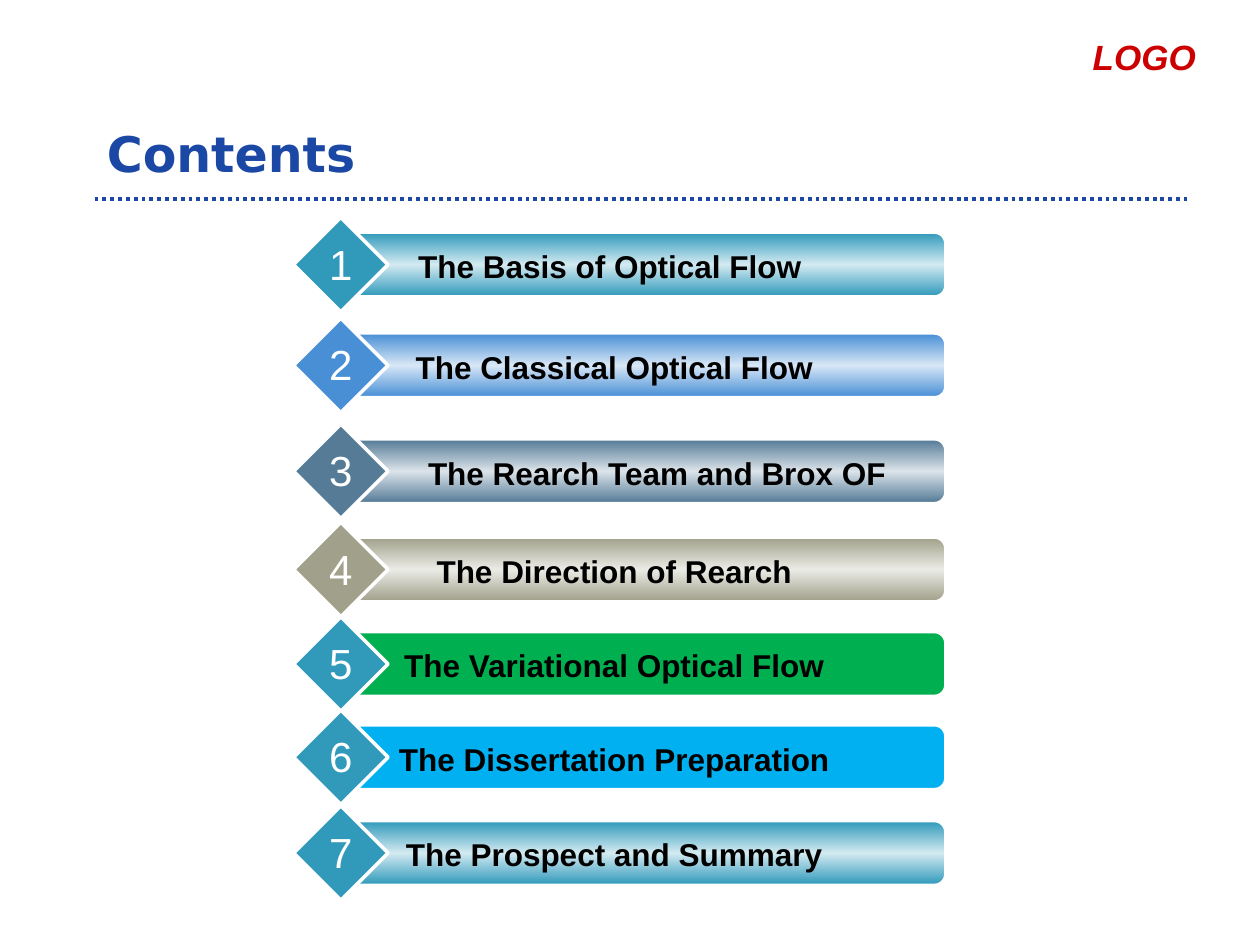
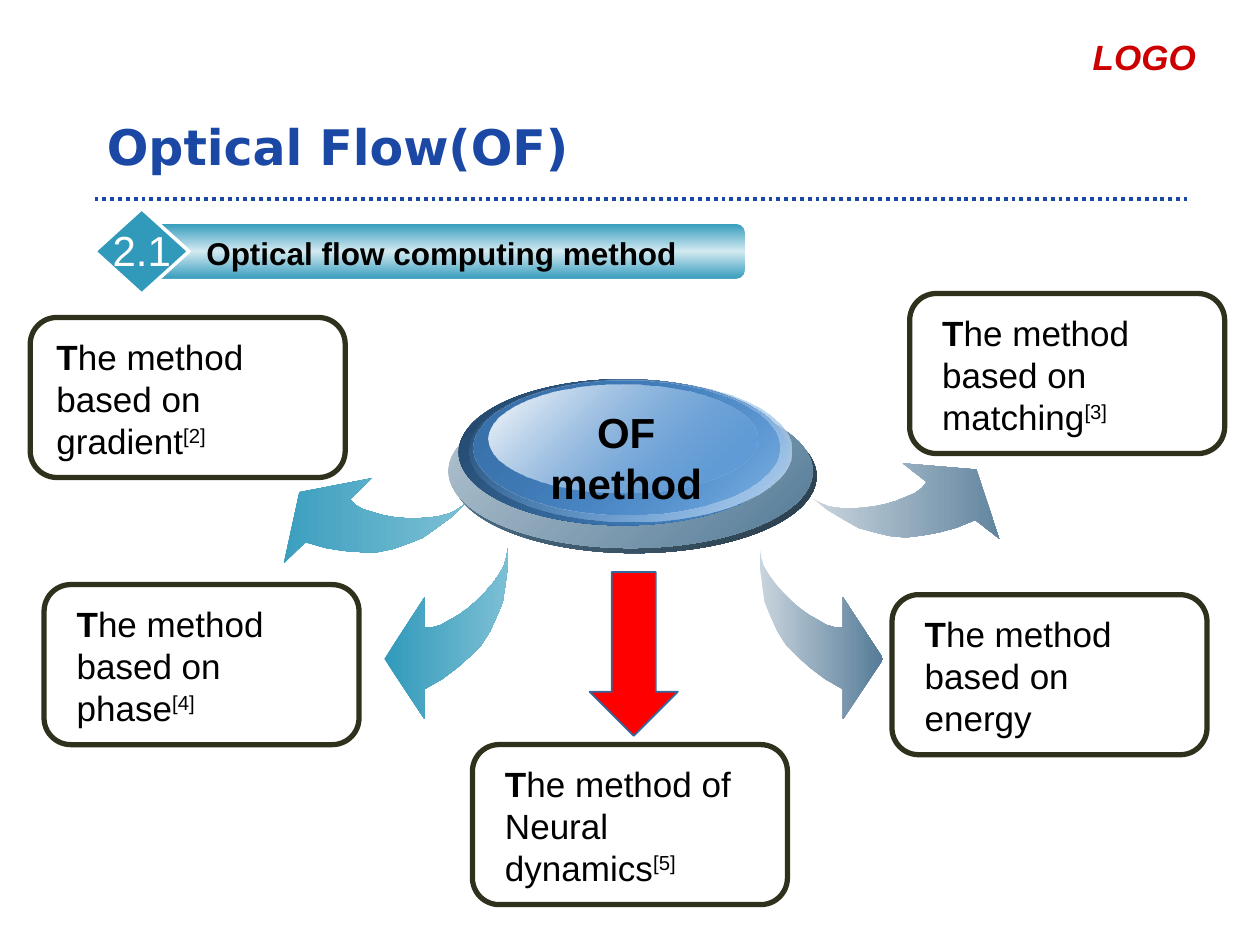
from lxml import etree
from pptx import Presentation, util as u
from pptx.dml.color import RGBColor
from pptx.enum import dml, shapes, text
from pptx.oxml.ns import qn

# Grid: 100 columns by 75 rows
W, H = u.Inches(10), u.Inches(7.5)
COL, ROW = W / 100, H / 75

WHITE = RGBColor(0xFF, 0xFF, 0xFF)
BLACK = RGBColor(0, 0, 0)
NAVY = RGBColor(0x1A, 0x48, 0xA4)
CRIMSON = RGBColor(0xCC, 0, 0)
RED = RGBColor(0xFF, 0, 0)
OLIVE = RGBColor(0x30, 0x31, 0x1D)
GREEN = RGBColor(0, 0xB0, 0x50)
SKY = RGBColor(0, 0xB0, 0xF0)
TEAL = RGBColor(0x31, 0x9A, 0xBB)
TEAL_MID = RGBColor(0x7C, 0xBF, 0xD4)
TEAL_PALE = RGBColor(0xD3, 0xEA, 0xF1)
BLUE = RGBColor(0x48, 0x8F, 0xD6)
BLUE_PALE = RGBColor(0xD8, 0xE7, 0xF6)
BLUE_LIGHT = RGBColor(0xBF, 0xD8, 0xF1)
BLUE_DEEP = RGBColor(0x21, 0x42, 0x63)
BLUE_DARK = RGBColor(0x39, 0x71, 0xAA)
BLUE_EDGE = RGBColor(0x32, 0x68, 0x9D)
SLATE = RGBColor(0x55, 0x7B, 0x97)
SLATE_PALE = RGBColor(0xDB, 0xE3, 0xE9)
SLATE_LIGHT = RGBColor(0xC9, 0xD5, 0xDE)
SLATE_MID = RGBColor(0xB4, 0xC5, 0xD1)
SLATE_DARK = RGBColor(0x29, 0x3C, 0x49)
STONE = RGBColor(0xA1, 0xA1, 0x8B)
STONE_PALE = RGBColor(0xEB, 0xEB, 0xE6)

BODY, HEAD = "Arial", "DejaVu Sans"
SHAPE = shapes.MSO_SHAPE
LEFT, CENTER, RIGHT = text.PP_ALIGN.LEFT, text.PP_ALIGN.CENTER, text.PP_ALIGN.RIGHT

# Curved arrow pointing left, relative to its box
ARROW_W, ARROW_H = 9.9, 13.6
ARROW = [(9.8, 0), (9.8, 1.5), (9.6, 3), (9.4, 4.3), (8.9, 5.5), (8.4, 6.6),
         (7.7, 7.7), (6.8, 8.6), (5.8, 9.5), (4.6, 10.4), (3.2, 11.2),
         (3.2, 13.6), (0, 8.8), (3.2, 3.9), (3.2, 6.3), (3.8, 6.3), (4.5, 6.1),
         (5.2, 5.7), (5.9, 5.3), (6.6, 4.8), (7.3, 4.2), (8, 3.5), (8.6, 2.8),
         (9.1, 2.1), (9.5, 1.4), (9.7, 0.7)]


def cells(x, y, w, h):
    return [u.Emu(round(v)) for v in (x * COL, y * ROW, w * COL, h * ROW)]


def paint_gradient(sp, stops, angle):
    """Fill with (position, colour, opacity) stops, angle clockwise."""
    sp.fill.gradient()
    sp.fill.gradient_angle = -angle % 360
    gs_list = sp._element.spPr.find(qn("a:gradFill")).find(qn("a:gsLst"))
    for gs in list(gs_list):
        gs_list.remove(gs)
    for pos, color, opacity in stops:
        gs = etree.SubElement(gs_list, qn("a:gs"), pos=str(pos * 1000))
        clr = etree.SubElement(gs, qn("a:srgbClr"), val=str(color))
        if opacity < 100:
            etree.SubElement(clr, qn("a:alpha"), val=str(opacity * 1000))


def add_shape(s, kind, box, fill=None, line=None, width=1):
    sp = s.shapes.add_shape(kind, *cells(*box))
    sp.shadow.inherit = False
    if fill is None:
        sp.fill.background()
    else:
        sp.fill.solid()
        sp.fill.fore_color.rgb = fill
    if line is None:
        sp.line.fill.background()
    else:
        sp.line.color.rgb = line
        sp.line.width = u.Pt(width)
    return sp


def add_run(p, words, size, color=BLACK, bold=False, italic=False, font=BODY):
    r = p.add_run()
    r.text = words
    r.font.name, r.font.size = font, u.Pt(size)
    r.font.bold, r.font.italic = bold, italic
    r.font.color.rgb = color
    return r


def add_frame(s, box, align=LEFT, anchor=text.MSO_ANCHOR.TOP):
    tf = s.shapes.add_textbox(*cells(*box)).text_frame
    tf.word_wrap = True
    tf.vertical_anchor = anchor
    tf.paragraphs[0].alignment = align
    return tf


def add_text(s, box, words, size, align=CENTER, **style):
    tf = add_frame(s, box, align, text.MSO_ANCHOR.MIDDLE)
    add_run(tf.paragraphs[0], words, size, **style)


def new_slide(prs, title, title_top):
    """Blank slide with dotted rule, title and corner mark."""
    s = prs.slides.add_slide(prs.slide_layouts[6])
    x1, y, x2, _ = cells(7.5, 15.8, 94.2, 0)
    rule = s.shapes.add_connector(shapes.MSO_CONNECTOR.STRAIGHT, x1, y, x2, y)
    rule.line.color.rgb = NAVY
    rule.line.width = u.Pt(2.25)
    rule.line.dash_style = dml.MSO_LINE.ROUND_DOT
    etree.SubElement(rule._element.spPr, qn("a:effectLst"))
    add_text(s, (7.5, title_top, 74.2, 5.8), title, 28, LEFT,
             color=NAVY, bold=True, font=HEAD)
    mark = add_frame(s, (64.2, 2.3, 31.7, 2.7), RIGHT)
    add_run(mark.paragraphs[0], "LOGO", 20, CRIMSON, bold=True, italic=True)
    return s


def add_item(s, x, middle, number, label, label_x, label_w, color,
             pale=None, bar_color=None, bar_h=5, diamond_h=7.5):
    """Numbered diamond with a labelled bar, centred on row `middle`."""
    bar = add_shape(s, SHAPE.ROUNDED_RECTANGLE,
                    (x + 4.2, middle - bar_h / 2, 47.5, bar_h), bar_color, WHITE)
    if pale is not None:
        paint_gradient(bar, [(0, color, 100), (50, pale, 100), (100, color, 100)], 90)
    add_shape(s, SHAPE.DIAMOND, (x, middle - diamond_h / 2, 7.5, diamond_h),
              color, WHITE, 2)
    add_text(s, (label_x, middle - 1.9, label_w, 4), label, 18, bold=True)
    add_text(s, (x + 0.2, middle - 2.6, 7.1, 5), number, 24, color=WHITE)


def add_card(s, x, y, lines, cite="", indent=1.6):
    """Outlined card: bold first letter, optional raised citation."""
    add_shape(s, SHAPE.ROUNDED_RECTANGLE, (x, y, 25, 12.7), line=OLIVE, width=3)
    tf = add_frame(s, (x + indent, y + 0.9, 22.3, 11))
    p = tf.paragraphs[0]
    add_run(p, lines[0][0], 20, bold=True)
    add_run(p, lines[0][1:], 20)
    for line in lines[1:]:
        p = tf.add_paragraph()
        add_run(p, line, 20)
    if cite:
        r = add_run(p, cite, 20)
        r.font._element.set("baseline", "30000")


def add_curved_arrow(s, x, y, dark, light, rotation=0, mirror=False):
    """Curved arrow, shaded from its dark head side to its light tail side."""
    points = [((x + (ARROW_W - px if mirror else px)) * COL, (y + py) * ROW)
              for px, py in ARROW]
    builder = s.shapes.build_freeform(*points[0], scale=1.0)
    builder.add_line_segments(points[1:], close=True)
    sp = builder.convert_to_shape()
    sp.shadow.inherit = False
    sp.line.fill.background()
    first, last = (light, dark) if mirror else (dark, light)
    paint_gradient(sp, [(0, first, 100), (100, last, 100)], -rotation % 360)
    sp.rotation = rotation


def add_hub(s):
    """Glossy disc made of stacked ellipses."""
    layers = [((35.9, 31.7, 28.9, 12.2), SLATE, 100, SLATE_DARK, 100),
              ((35.6, 31.3, 28.9, 12.2), SLATE_MID, 100, SLATE, 100),
              ((36.4, 30.1, 26.1, 11.6), BLUE_DEEP, 100, BLUE, 100),
              ((37.3, 30.1, 25.5, 11.3), BLUE, 0, BLUE_LIGHT, 100),
              ((37.6, 30.2, 24.3, 10.6), BLUE_DARK, 100, BLUE, 48),
              ((38.8, 30.5, 21.3, 8.6), WHITE, 100, BLUE, 38)]
    for box, start, start_opacity, end, end_opacity in layers:
        sp = add_shape(s, SHAPE.OVAL, box)
        paint_gradient(sp, [(0, start, start_opacity), (100, end, end_opacity)], 45)
    add_text(s, (41, 31.8, 17.4, 9), "OF method", 24, bold=True)


def contents_slide(prs):
    s = new_slide(prs, "Contents", 9.2)
    items = [(21, "The Basis of Optical Flow ", TEAL, TEAL_PALE, None),
             (29, "The Classical Optical Flow", BLUE, BLUE_PALE, None),
             (37.4, "The Rearch Team and Brox OF", SLATE, SLATE_PALE, None),
             (45.2, "The Direction of Rearch", STONE, STONE_PALE, None),
             (52.7, "The Variational Optical Flow", TEAL, None, GREEN),
             (60.1, "The Dissertation Preparation", TEAL, None, SKY),
             (67.7, "The Prospect and Summary", TEAL, TEAL_PALE, None)]
    for i, (middle, label, color, pale, bar_color) in enumerate(items, 1):
        label_x, label_w = (30.8, 42.7) if i == 3 else (30, 37.5)
        add_item(s, 23.3, middle, str(i), label, label_x, label_w,
                 color, pale, bar_color)


def methods_slide(prs):
    s = new_slide(prs, "Optical Flow(OF)", 8.7)
    add_item(s, 7.5, 19.95, "2.1", "Optical flow computing method ", 15.3, 40.2,
             TEAL, TEAL_PALE, bar_h=4.5, diamond_h=6.8)
    add_hub(s)

    # Arrows from the hub
    add_curved_arrow(s, 30.5, 43.5, TEAL, TEAL_MID)
    add_curved_arrow(s, 23.7, 34.4, TEAL, TEAL_MID, rotation=46)
    add_curved_arrow(s, 60.2, 43.5, SLATE, SLATE_LIGHT, mirror=True)
    add_curved_arrow(s, 67.9, 33.1, SLATE, SLATE_LIGHT, rotation=308, mirror=True)
    add_shape(s, SHAPE.DOWN_ARROW, (46.8, 45.4, 7, 13), RED, BLUE_EDGE)

    # Method cards
    add_card(s, 2.4, 25.2, ["The method based on gradient"], "[2]", indent=1.1)
    add_card(s, 72.2, 23.3, ["The method based on matching"], "[3]")
    add_card(s, 70.8, 47.2, ["The method based on energy"])
    add_card(s, 3.5, 46.4, ["The method based on", "phase"], "[4]")
    add_card(s, 37.5, 59.1, ["The method of Neural dynamics"], "[5]")


def main():
    prs = Presentation()
    prs.slide_width, prs.slide_height = W, H
    contents_slide(prs)
    methods_slide(prs)
    prs.save("out.pptx")


if __name__ == "__main__":
    main()
